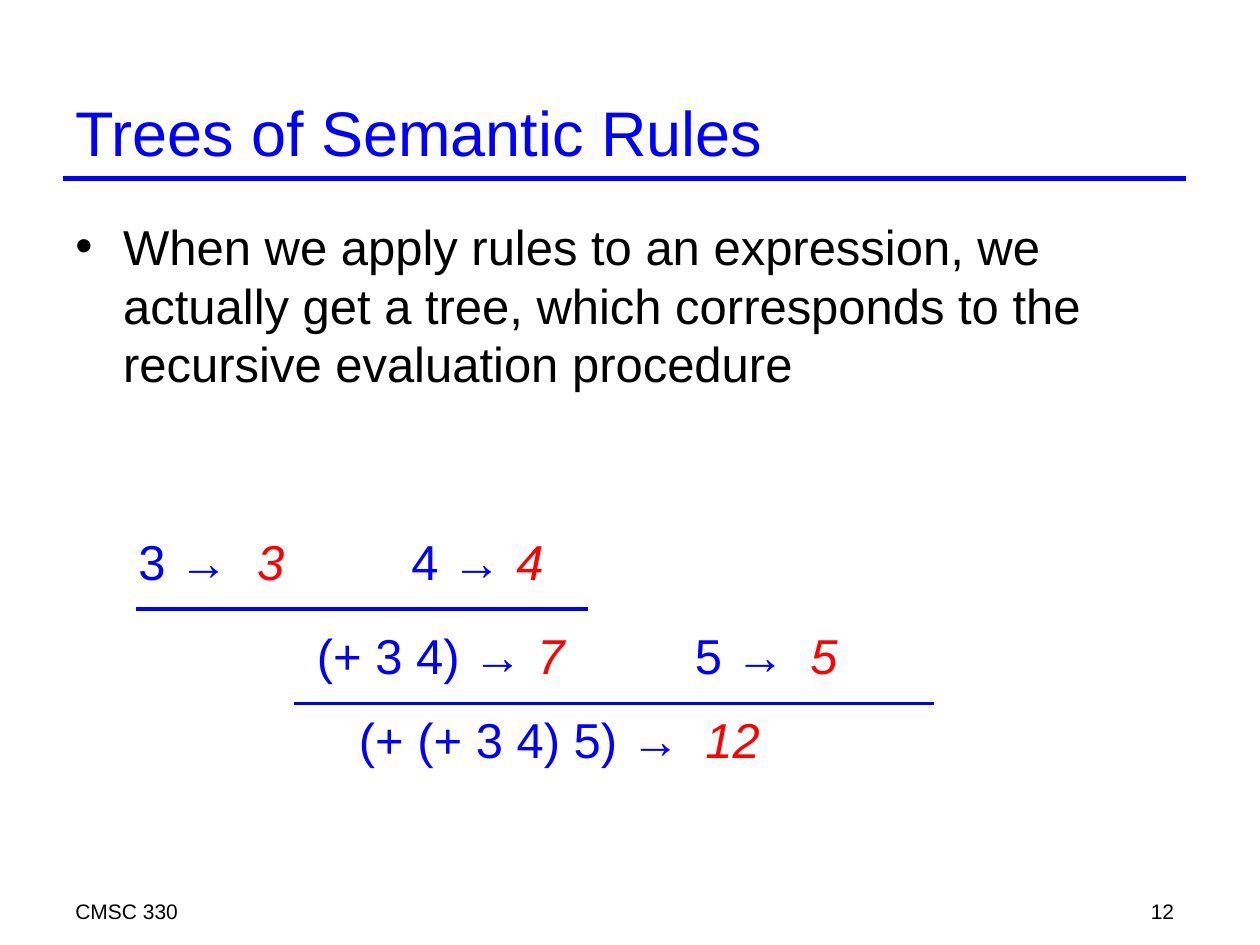
import dataclasses

import lxml.etree
import pptx
import pptx.dml.color
import pptx.enum.shapes
import pptx.enum.text
import pptx.oxml.ns
import pptx.util

CELL = pptx.util.Inches(1) // 12
ALIGN = pptx.enum.text.PP_ALIGN
ANCHOR = pptx.enum.text.MSO_ANCHOR


@dataclasses.dataclass(frozen=True)
class Theme:
    font: str = "Arial"
    accent: str = "0000FF"
    value: str = "FF0000"
    ink: str = "000000"
    title_size: int = 36
    body_size: int = 28
    footer_size: int = 12
    title_rule: float = 3
    inference_rule: float = 2.25


THEME = Theme()


@dataclasses.dataclass(frozen=True)
class Box:
    column: float
    row: float
    columns: float
    rows: float

    def inside(self, column, row, columns, rows):
        return Box(self.column + column, self.row + row, columns, rows)

    def emu(self):
        return [round(part * CELL) for part in dataclasses.astuple(self)]


def apply_format(target, values):
    for name, value in values.items():
        setattr(target, name, value)


def add_text(slide, box, text, size, color, italic=False, align=ALIGN.LEFT,
             anchor=ANCHOR.TOP, wrap=True):
    shape = slide.shapes.add_textbox(*box.emu())
    apply_format(shape.text_frame, {"word_wrap": wrap, "vertical_anchor": anchor})
    paragraph = shape.text_frame.paragraphs[0]
    paragraph.alignment = align
    run = paragraph.add_run()
    run.text = text
    apply_format(run.font, {"name": THEME.font, "size": pptx.util.Pt(size), "italic": italic})
    run.font.color.rgb = pptx.dml.color.RGBColor.from_string(color)
    return paragraph


def add_rule(slide, box, width):
    left, top, length, _ = box.emu()
    connector = slide.shapes.add_connector(
        pptx.enum.shapes.MSO_CONNECTOR.STRAIGHT, left, top, left + length, top)
    connector.line.width = pptx.util.Pt(width)
    connector.line.color.rgb = pptx.dml.color.RGBColor.from_string(THEME.accent)
    lxml.etree.SubElement(connector._element.spPr, pptx.oxml.ns.qn("a:effectLst"))


def add_header(slide, box, title):
    add_text(slide, box, title, THEME.title_size, THEME.accent, anchor=ANCHOR.MIDDLE)
    add_rule(slide, box.inside(0, box.rows, box.columns, 0), THEME.title_rule)


def add_body(slide, box, text):
    paragraph = add_text(slide, box, text, THEME.body_size, THEME.ink)
    properties = paragraph._p.get_or_add_pPr()
    indent = pptx.util.Inches(0.38)
    properties.set("marL", str(indent))
    properties.set("indent", str(-indent))
    for tag, name, value in (("a:buFont", "typeface", THEME.font), ("a:buChar", "char", "•")):
        lxml.etree.SubElement(properties, pptx.oxml.ns.qn(tag)).set(name, value)


def add_judgment(slide, box, expression, value, value_column, value_columns=5, wrap=False):
    add_text(slide, box, f"{expression} →", THEME.body_size, THEME.accent, wrap=wrap)
    value_box = box.inside(value_column, 0, value_columns, box.rows)
    add_text(slide, value_box, value, THEME.body_size, THEME.value, italic=True)


def add_derivation(slide, box):
    line_rows = 6.8
    add_judgment(slide, box.inside(0, 0, 11, line_rows), "3", "3", 11.3)
    add_judgment(slide, box.inside(26, 0, 11, line_rows), "4", "4", 10)
    add_rule(slide, box.inside(1, 8, 43, 0), THEME.inference_rule)
    add_judgment(slide, box.inside(17, 9, 22, line_rows), "(+ 3 4)", "7", 21)
    add_judgment(slide, box.inside(53, 9, 11, line_rows), "5", "5", 11)
    add_rule(slide, box.inside(16, 17, 61, 0), THEME.inference_rule)
    add_judgment(slide, box.inside(21, 17, 51, line_rows), "(+ (+ 3 4) 5)", "12", 33, 9, True)


def add_footer(slide, box, course, number):
    number_columns = 25
    add_text(slide, box.inside(0, 0, 73, box.rows), course, THEME.footer_size, THEME.ink)
    number_box = box.inside(box.columns - number_columns, 0, number_columns, box.rows)
    add_text(slide, number_box, number, THEME.footer_size, THEME.ink, align=ALIGN.RIGHT)


def main():
    presentation = pptx.Presentation()
    apply_format(presentation, {"slide_width": 120 * CELL, "slide_height": 90 * CELL})
    slide = presentation.slides.add_slide(presentation.slide_layouts[6])
    content = Box(6, 0, 107, 90)
    add_header(slide, content.inside(0, 8, content.columns, 9), "Trees of Semantic Rules")
    add_body(slide, content.inside(0, 20, content.columns, 64),
             "When we apply rules to an expression, we actually get a tree, "
             "which corresponds to the recursive evaluation procedure")
    add_derivation(slide, content.inside(6, 50, 77, 24))
    add_footer(slide, content.inside(0, 85, content.columns, 3), "CMSC 330", "12")
    presentation.save("out.pptx")


if __name__ == "__main__":
    main()
